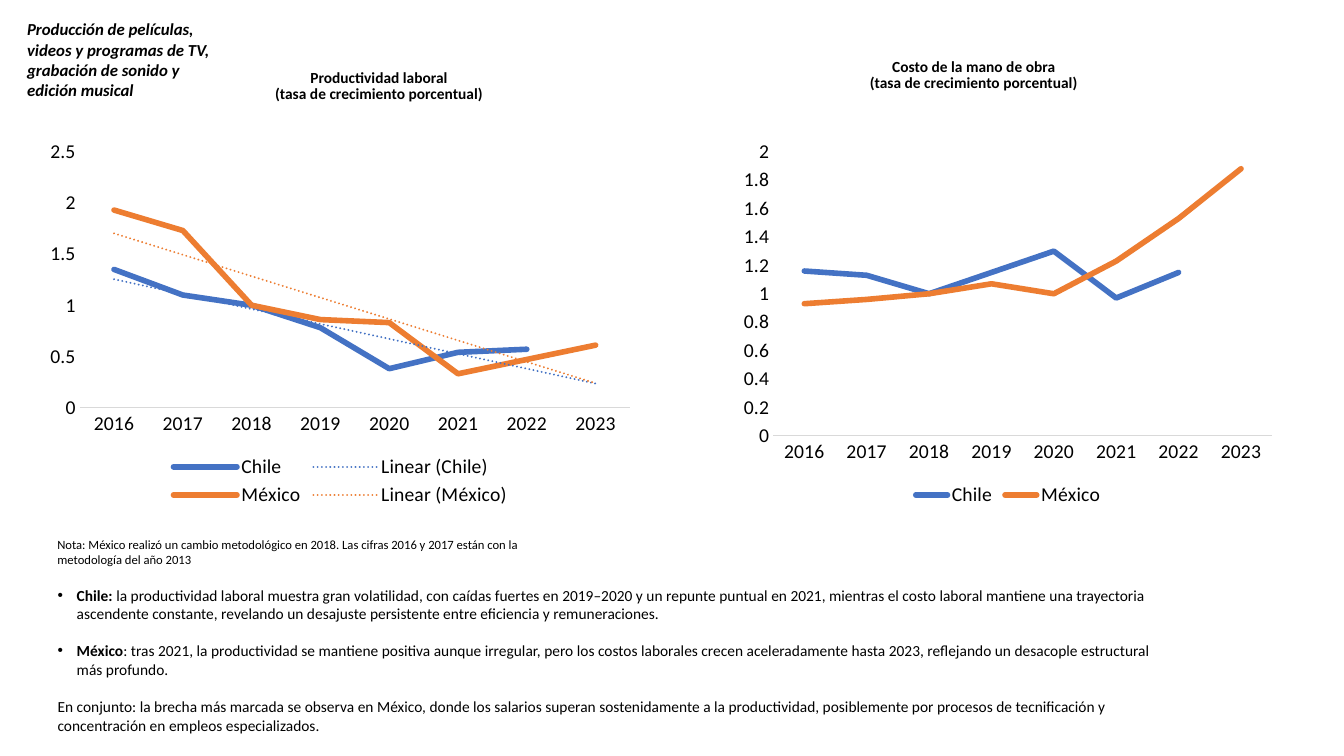
from lxml import etree
from pptx import Presentation
from pptx.chart.data import CategoryChartData
from pptx.dml.color import RGBColor
from pptx.enum.chart import XL_CHART_TYPE, XL_LEGEND_POSITION, XL_MARKER_STYLE, XL_TICK_MARK
from pptx.enum.dml import MSO_LINE
from pptx.enum.text import MSO_ANCHOR, MSO_AUTO_SIZE, PP_ALIGN
from pptx.oxml import parse_xml
from pptx.oxml.ns import nsdecls, qn
from pptx.util import Inches, Pt

LINE = XL_CHART_TYPE.LINE
BOTTOM = XL_LEGEND_POSITION.BOTTOM
NO_MARKER = XL_MARKER_STYLE.NONE
NO_TICK = XL_TICK_MARK.NONE
SOLID = MSO_LINE.SOLID
TOP, MIDDLE = MSO_ANCHOR.TOP, MSO_ANCHOR.MIDDLE
NO_FIT = MSO_AUTO_SIZE.NONE
LEFT, CENTER = PP_ALIGN.LEFT, PP_ALIGN.CENTER

FONT = "Calibri"
COLORS = {"text": "000000", "axis": "D9D9D9", "Chile": "4472C4", "México": "ED7D31"}
WIDTH, HEIGHT = Inches(13.33), Inches(7.5)
YEARS = [str(year) for year in range(2016, 2024)]
CHART_TOP, CHART_HEIGHT = 17.47, 50.13

PRODUCTIVITY = {
    "Chile": (1.35, 1.1, 1, 0.78, 0.38, 0.54, 0.57, None),
    "México": (1.93, 1.73, 1, 0.86, 0.83, 0.33, 0.47, 0.61),
}
LABOR_COST = {
    "Chile": (1.16, 1.13, 1, 1.15, 1.3, 0.97, 1.15, None),
    "México": (0.93, 0.96, 1, 1.07, 1, 1.23, 1.53, 1.88),
}
# Bold lead, remaining text, bulleted
FINDINGS = [
    ("Chile:", " la productividad laboral muestra gran volatilidad, con caídas fuertes en "
     "2019–2020 y un repunte puntual en 2021, mientras el costo laboral mantiene una "
     "trayectoria ascendente constante, revelando un desajuste persistente entre "
     "eficiencia y remuneraciones.", True),
    ("México", ": tras 2021, la productividad se mantiene positiva aunque irregular, pero "
     "los costos laborales crecen aceleradamente hasta 2023, reflejando un desacople "
     "estructural más profundo.", True),
    ("", "En conjunto: la brecha más marcada se observa en México, donde los salarios "
     "superan sostenidamente a la productividad, posiblemente por procesos de "
     "tecnificación y concentración en empleos especializados.", False),
]


def box(left, top, width, height):
    """Turn percentages of the slide into lengths."""
    return (int(WIDTH * left / 100), int(HEIGHT * top / 100),
            int(WIDTH * width / 100), int(HEIGHT * height / 100))


def place(shape, area):
    shape.left, shape.top, shape.width, shape.height = box(*area)


def style_font(font, size, bold=False, italic=False):
    font.name, font.size = FONT, Pt(size)
    font.bold, font.italic = bold, italic
    font.color.rgb = RGBColor.from_string(COLORS["text"])


def prepare_frame(tf, anchor):
    tf.word_wrap = True
    tf.auto_size = NO_FIT
    tf.vertical_anchor = anchor


def write_text(shape, text, size, bold=False, italic=False):
    tf = shape.text_frame
    prepare_frame(tf, TOP)
    tf.text = text
    for r in tf.paragraphs[0].runs:
        style_font(r.font, size, bold, italic)


def write_heading(shape, text):
    write_text(shape, text, 11, bold=True)
    shape.text_frame.vertical_anchor = MIDDLE
    p = shape.text_frame.paragraphs[0]
    p.alignment, p.line_spacing = CENTER, 0.9


def add_text(s, area, text, size, **style):
    write_text(s.shapes.add_textbox(*box(*area)), text, size, **style)


def set_bullet(p, bulleted):
    indent = Inches(0.19) if bulleted else 0
    pPr = p._p.get_or_add_pPr()
    pPr.set("marL", str(indent))
    pPr.set("indent", str(-indent))
    if bulleted:
        etree.SubElement(pPr, qn("a:buFont")).set("typeface", "Arial")
        etree.SubElement(pPr, qn("a:buChar")).set("char", "•")
    else:
        etree.SubElement(pPr, qn("a:buNone"))


def write_findings(body):
    tf = body.text_frame
    prepare_frame(tf, TOP)
    for i, (lead, text, bulleted) in enumerate(FINDINGS):
        p = tf.paragraphs[0] if i == 0 else tf.add_paragraph()
        p.alignment = LEFT
        p.space_before = Pt(13.4 if i else 0)
        set_bullet(p, bulleted)
        for part, bold in ((lead, True), (text, False)):
            if part:
                r = p.add_run()
                r.text = part
                style_font(r.font, 11, bold)


def add_trend(series):
    """Add a dotted linear trend line in the colour of the series."""
    trend = parse_xml(
        f'<c:trendline {nsdecls("c", "a")}><c:name>Linear ({series.name})</c:name>'
        f'<c:spPr><a:ln w="{Pt(1.5)}" cap="rnd"><a:solidFill>'
        f'<a:srgbClr val="{COLORS[series.name]}"/></a:solidFill>'
        '<a:prstDash val="sysDot"/></a:ln></c:spPr><c:trendlineType val="linear"/>'
        '<c:dispRSqr val="0"/><c:dispEq val="0"/></c:trendline>')
    series._element.find(qn("c:cat")).addprevious(trend)


def style_series(series):
    series.smooth = False
    series.marker.style = NO_MARKER
    line = series.format.line
    line.width, line.dash_style = Pt(4), SOLID
    line.color.rgb = RGBColor.from_string(COLORS[series.name])
    ln = series._element.find(qn("c:spPr")).find(qn("a:ln"))
    ln.set("cap", "rnd")
    etree.SubElement(ln, qn("a:round"))


def style_axes(chart, top_value, step):
    for axis in (chart.category_axis, chart.value_axis):
        axis.major_tick_mark = axis.minor_tick_mark = NO_TICK
        axis.has_major_gridlines = False
        style_font(axis.tick_labels.font, 14)
    line = chart.category_axis.format.line
    line.width = Pt(0.75)
    line.color.rgb = RGBColor.from_string(COLORS["axis"])
    values = chart.value_axis
    values.format.line.fill.background()
    values.minimum_scale, values.maximum_scale, values.major_unit = 0, top_value, step


def add_line_chart(s, left, width, table, top_value, step, trends=False):
    data = CategoryChartData()
    data.categories = YEARS
    for country, rates in table.items():
        data.add_series(country, rates)
    area = box(left, CHART_TOP, width, CHART_HEIGHT)
    chart = s.shapes.add_chart(LINE, *area, data).chart
    chart.has_title = False
    style_font(chart.font, 10)
    chart.has_legend = True
    chart.legend.position = BOTTOM
    chart.legend.include_in_layout = False
    style_font(chart.legend.font, 14)
    chart.plots[0].vary_by_categories = False
    style_axes(chart, top_value, step)
    for series in chart.plots[0].series:
        style_series(series)
        if trends:
            add_trend(series)


def main():
    prs = Presentation()
    prs.slide_width, prs.slide_height = WIDTH, HEIGHT
    s = prs.slides.add_slide(prs.slide_layouts[1])
    title, body = s.placeholders

    place(title, (16.88, 9.33, 22.65, 4.27))
    write_heading(title, "Productividad laboral\v(tasa de crecimiento porcentual)")
    cost = s.shapes.add_textbox(*box(61.28, 7.87, 22.35, 4.27))
    write_heading(cost, "Costo de la mano de obra\v(tasa de crecimiento porcentual)")
    place(body, (3.53, 76.8, 83.03, 21.07))
    write_findings(body)

    add_text(s, (1.28, 1.87, 16.58, 12.13),
             "Producción de películas, videos y programas de TV, "
             "grabación de sonido y edición musical", 12, bold=True, italic=True)
    add_text(s, (3.53, 70.4, 38.7, 5.33),
             "Nota: México realizó un cambio metodológico en 2018. Las cifras 2016 y 2017 "
             "están con la metodología del año 2013", 9)
    add_line_chart(s, 2.85, 44.93, PRODUCTIVITY, 2.5, 0.5, trends=True)
    add_line_chart(s, 54.53, 40.95, LABOR_COST, 2, 0.2)
    prs.save("out.pptx")


if __name__ == "__main__":
    main()
